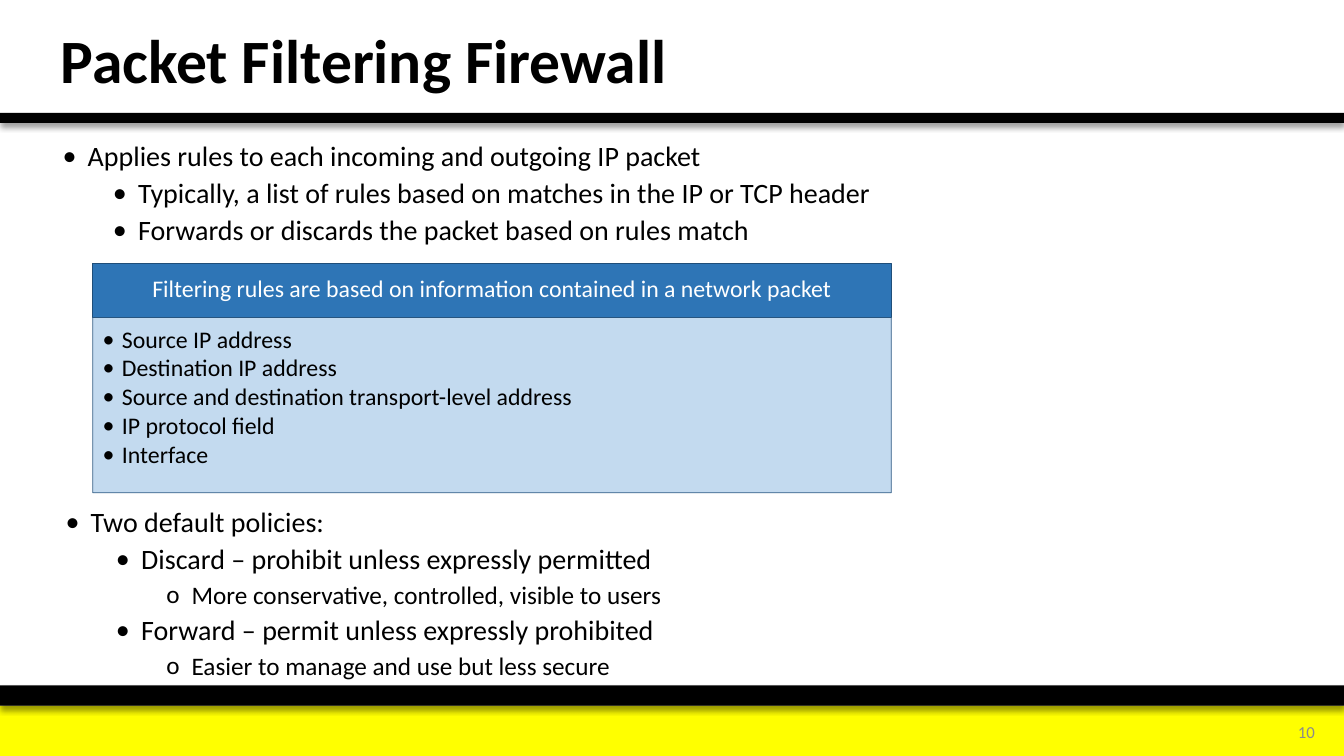
"""Build the slide about packet filtering firewalls."""
from dataclasses import dataclass
from typing import Any, Optional

import lxml.etree
import pptx
import pptx.dml.color
import pptx.enum.shapes
import pptx.enum.text
import pptx.oxml.ns
import pptx.util

Inches = pptx.util.Inches
Align = pptx.enum.text.PP_ALIGN
Anchor = pptx.enum.text.MSO_ANCHOR
qualified = pptx.oxml.ns.qn


@dataclass(frozen=True)
class Theme:
    font: str = "Calibri"
    black: str = "000000"
    white: str = "FFFFFF"
    yellow: str = "FFFF00"
    header: str = "2E75B6"
    panel: str = "BDD7EE"
    outline: str = "1F4E79"
    number: str = "8C8C8C"
    title_size: float = 44
    list_size: float = 20
    detail_size: float = 18
    box_size: float = 17
    number_size: float = 12


THEME = Theme()
Box = tuple[float, float, float, float]


@dataclass(frozen=True)
class Style:
    size: float
    color: str = THEME.black
    bold: bool = False
    alignment: Any = Align.LEFT
    spacing: float = 0.9
    before: float = 0
    after: float = 0
    level: int = 0
    margin: float = 0
    hanging: float = 0
    bullet: str = ""


@dataclass(frozen=True)
class Line:
    text: str
    style: Style


@dataclass(frozen=True)
class Bar:
    box: Box
    fill: str
    outline: Optional[str] = None
    alpha: int = 100
    shadow: bool = False


TITLE = Style(THEME.title_size, bold=True)
NUMBER = Style(THEME.number_size, THEME.number, alignment=Align.RIGHT, spacing=1)
HEADER = Style(THEME.box_size, THEME.white, alignment=Align.CENTER)
FIELD = Style(THEME.box_size, after=2.2, level=1, margin=0.19, hanging=0.19, bullet="•")
TOP = Style(THEME.list_size, before=10, margin=0.25, hanging=0.25, bullet="•")
SUB = Style(THEME.list_size, before=5, level=1, margin=0.75, hanging=0.25, bullet="•")
DETAIL = Style(THEME.detail_size, before=5, level=2, margin=1.25, hanging=0.25, bullet="o")

DEFAULT_INSETS: Box = (0.1, 0.05, 0.1, 0.05)
BARS = [
    Bar((0, 7, 13.33, 0.5), THEME.yellow),
    Bar((0, 6.8, 13.33, 0.2), THEME.black, shadow=True),
    Bar((0, 1.12, 13.33, 0.1), THEME.black, shadow=True),
]
RULE_HEADER = Bar((0.92, 2.61, 7.92, 0.54), THEME.header, THEME.outline)
RULE_PANEL = Bar((0.92, 3.15, 7.92, 1.74), THEME.panel, THEME.outline, alpha=90)
RULES = [
    Line("Applies rules to each incoming and outgoing IP packet", TOP),
    Line("Typically, a list of rules based on matches in the IP or TCP header", SUB),
    Line("Forwards or discards the packet based on rules match", SUB),
]
POLICIES = [
    Line("Two default policies:", TOP),
    Line("Discard – prohibit unless expressly permitted", SUB),
    Line("More conservative, controlled, visible to users", DETAIL),
    Line("Forward – permit unless expressly prohibited", SUB),
    Line("Easier to manage and use but less secure", DETAIL),
]
FIELDS = [
    "Source IP address",
    "Destination IP address",
    "Source and destination transport-level address",
    "IP protocol field",
    "Interface",
]


def rgb(color: str) -> pptx.dml.color.RGBColor:
    """Turn a hex string into a colour."""
    return pptx.dml.color.RGBColor.from_string(color)


def apply(target: Any, values: dict[str, Any]) -> None:
    """Set every named attribute on the target."""
    for name, value in values.items():
        setattr(target, name, value)


def add_element(parent: Any, tag: str, **attributes: Any) -> Any:
    """Append a drawing element with its attributes."""
    texts = {name: str(value) for name, value in attributes.items()}
    return lxml.etree.SubElement(parent, qualified(tag), texts)


def place(shape: Any, box: Box) -> None:
    """Move and size a shape in inches."""
    apply(shape, dict(zip(("left", "top", "width", "height"), map(Inches, box))))


def write(shape: Any, lines: list[Line], anchor: Any = Anchor.TOP,
          insets: Box = DEFAULT_INSETS) -> None:
    """Fill a shape with formatted paragraphs."""
    frame = shape.text_frame
    sides = ("margin_left", "margin_top", "margin_right", "margin_bottom")
    apply(frame, {"word_wrap": True, "vertical_anchor": anchor,
                  "auto_size": pptx.enum.text.MSO_AUTO_SIZE.NONE,
                  **dict(zip(sides, map(Inches, insets)))})
    for index, line in enumerate(lines):
        style = line.style
        paragraph = frame.add_paragraph() if index else frame.paragraphs[0]
        apply(paragraph, {"level": style.level, "alignment": style.alignment,
                          "line_spacing": style.spacing,
                          "space_before": pptx.util.Pt(style.before),
                          "space_after": pptx.util.Pt(style.after)})
        run = paragraph.add_run()
        run.text = line.text
        apply(run.font, {"name": THEME.font, "size": pptx.util.Pt(style.size),
                         "bold": style.bold})
        run.font.color.rgb = rgb(style.color)
        if style.bullet:
            properties = paragraph._p.get_or_add_pPr()
            properties.set("marL", str(Inches(style.margin)))
            properties.set("indent", str(-Inches(style.hanging)))
            add_element(properties, "a:buFont", typeface=THEME.font)
            add_element(properties, "a:buChar", char=style.bullet)


def add_bar(shapes: Any, bar: Bar) -> Any:
    """Draw a filled rectangle."""
    shape = shapes.add_shape(pptx.enum.shapes.MSO_SHAPE.RECTANGLE, *map(Inches, bar.box))
    shape.shadow.inherit = False
    shape.fill.solid()
    shape.fill.fore_color.rgb = rgb(bar.fill)
    if bar.outline:
        shape.line.color.rgb = rgb(bar.outline)
        shape.line.width = pptx.util.Pt(0.5)
    else:
        shape.line.fill.background()
    properties = shape._element.spPr
    if bar.alpha < 100:
        for color in properties.iter(qualified("a:srgbClr")):
            add_element(color, "a:alpha", val=bar.alpha * 1000)
    if bar.shadow:
        shadow = add_element(properties.find(qualified("a:effectLst")), "a:outerShdw",
                             blurRad=pptx.util.Pt(4), dist=pptx.util.Pt(3),
                             dir=5400000, algn="t", rotWithShape=0)
        color = add_element(shadow, "a:srgbClr", val=THEME.black)
        add_element(color, "a:alpha", val=40000)
    return shape


def main() -> None:
    """Build and save the presentation."""
    presentation = pptx.Presentation()
    apply(presentation, {"slide_width": Inches(13.33), "slide_height": Inches(7.5)})
    slide = presentation.slides.add_slide(presentation.slide_layouts[3])
    title, rules, policies = slide.placeholders
    for bar in BARS:
        add_bar(slide.shapes, bar)
    place(title, (0.5, 0.07, 9, 1.12))
    write(title, [Line("Packet Filtering Firewall", TITLE)], Anchor.MIDDLE)
    place(rules, (0.52, 1.36, 12.29, 1.17))
    write(rules, RULES)
    place(policies, (0.55, 4.99, 12.29, 1.75))
    write(policies, POLICIES)
    number = slide.shapes.add_textbox(*map(Inches, (12.38, 7.06, 0.76, 0.4)))
    write(number, [Line("10", NUMBER)], Anchor.MIDDLE)
    group = slide.shapes.add_group_shape()
    heading = "Filtering rules are based on information contained in a network packet"
    write(add_bar(group.shapes, RULE_HEADER), [Line(heading, HEADER)],
          Anchor.MIDDLE, (0.13, 0.08, 0.13, 0.08))
    write(add_bar(group.shapes, RULE_PANEL), [Line(field, FIELD) for field in FIELDS],
          insets=(0.1, 0.1, 0.13, 0.15))
    presentation.save("out.pptx")


if __name__ == "__main__":
    main()
